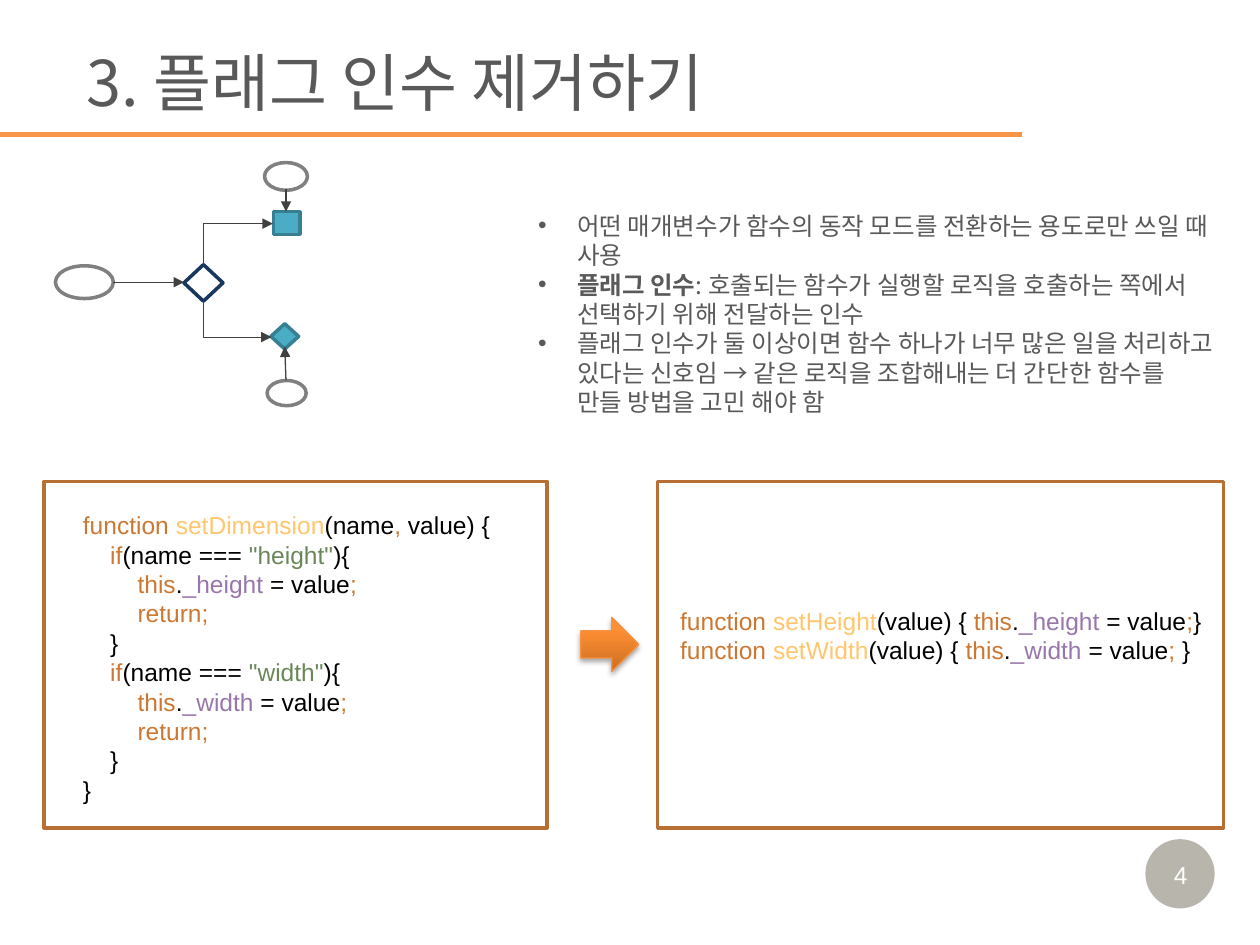
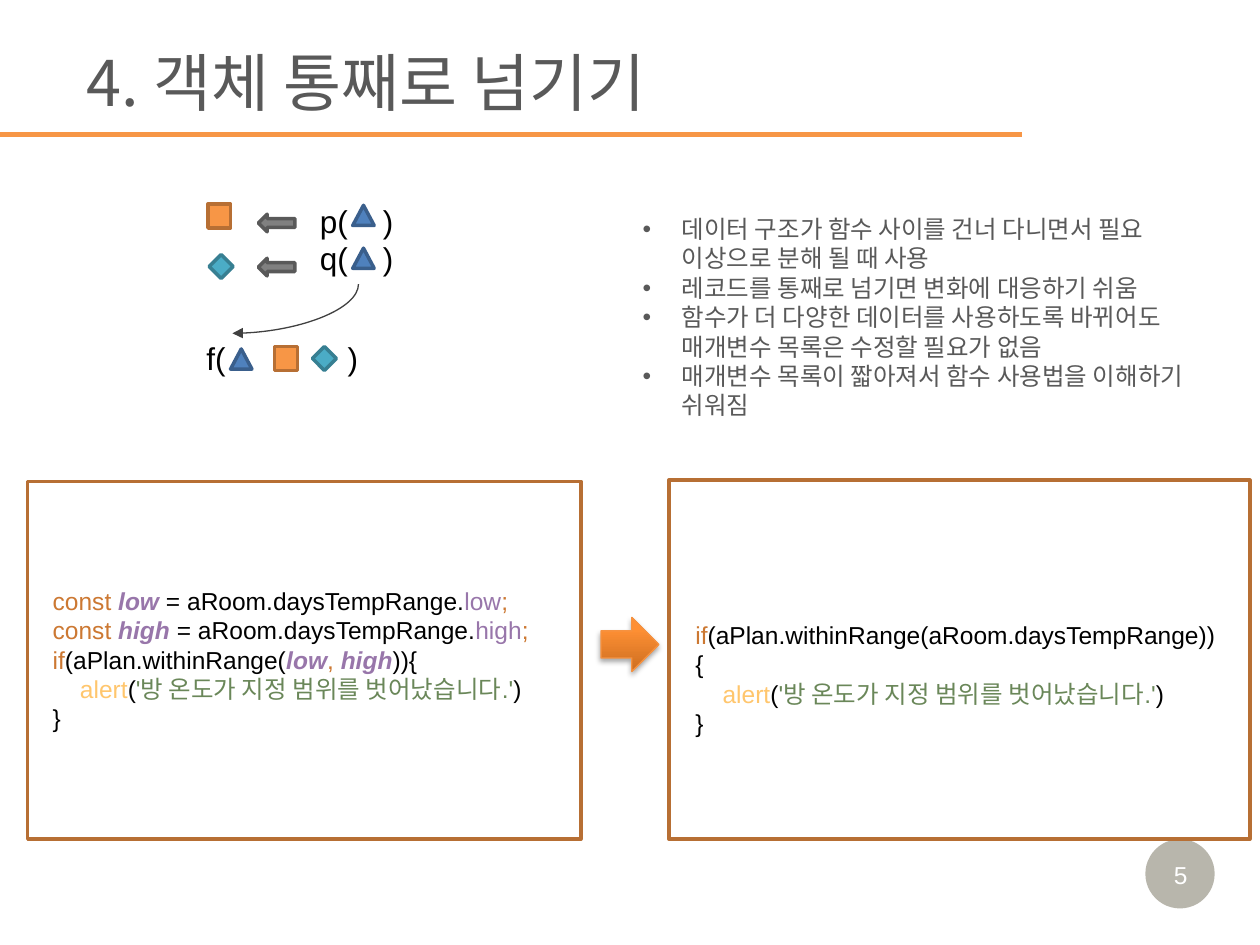
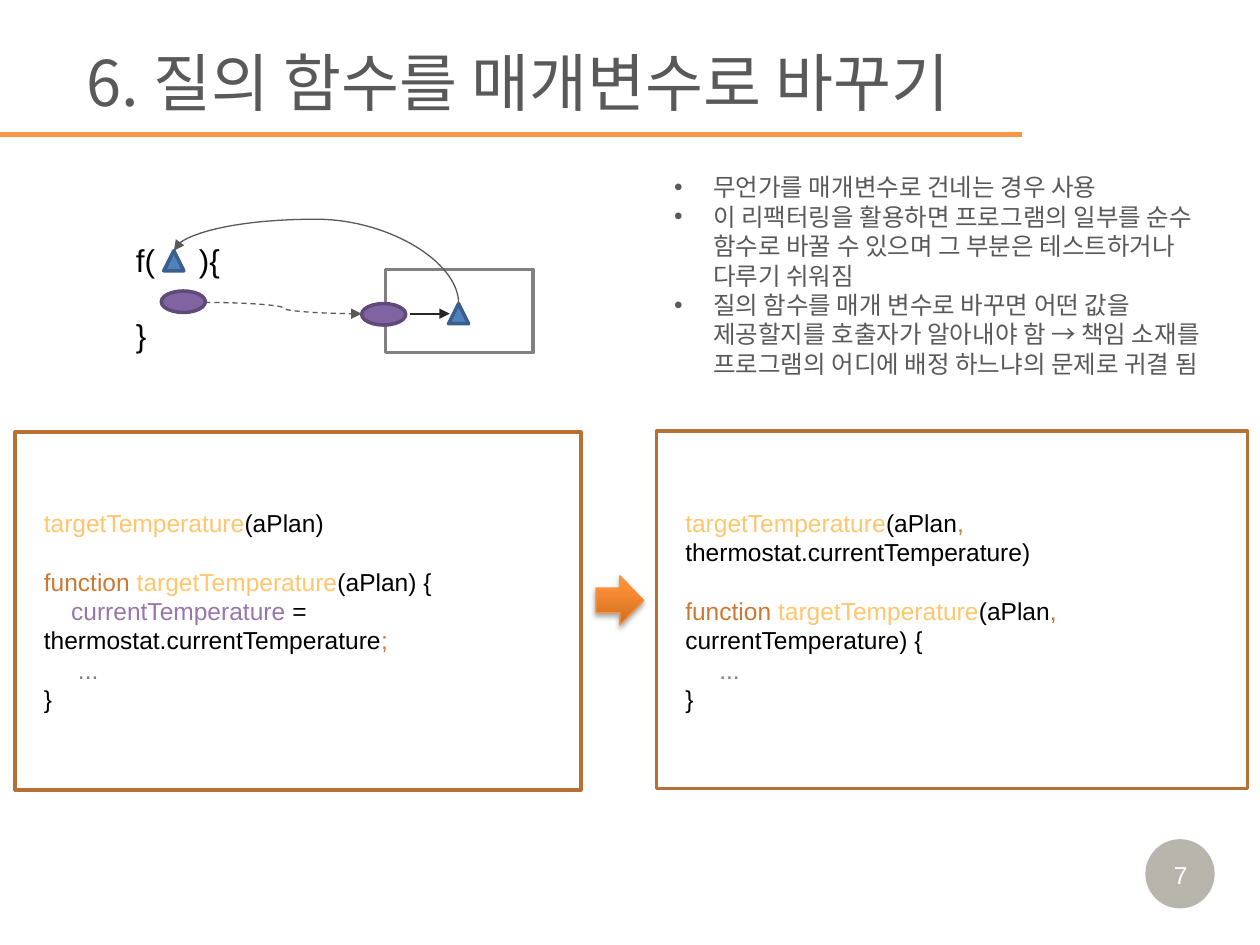
"""Build three slides on refactoring function parameters."""
from lxml import etree
from pptx import Presentation
from pptx.dml.color import RGBColor
from pptx.enum import dml, shapes, text
from pptx.oxml import ns
from pptx.util import Inches, Pt

LATIN, KOREAN = "Arial", "Noto Sans CJK KR"
GREY, ORANGE, BROWN, DARK = "595959", "F79646", "B76F34", "404040"

MARKS = {
    "d": {}, "B": {"bold": True},
    "k": {"color": "CC7832"}, "f": {"color": "FFC66D"}, "s": {"color": "6A8759"},
    "v": {"color": "9876AA"}, "g": {"color": "808080"},
    "V": {"color": "9876AA", "bold": True, "italic": True},
}

FORM = shapes.MSO_SHAPE
KINDS = {
    "panel": (FORM.RECTANGLE, None, BROWN),
    "frame": (FORM.RECTANGLE, None, "808080"),
    "ring": (FORM.OVAL, None, "808080"),
    "choice": (FORM.DIAMOND, None, "17375E"),
    "teal": (FORM.RECTANGLE, "4BACC6", "377F92"),
    "gem": (FORM.DIAMOND, "4BACC6", "377F92"),
    "square": (FORM.RECTANGLE, ORANGE, BROWN),
    "tri": (FORM.ISOSCELES_TRIANGLE, "4F81BD", "3A5F8C"),
    "oval": (FORM.OVAL, "8064A2", "5F4A78"),
    "back": (FORM.LEFT_ARROW, "808080", GREY),
}

SLIDES = [
    {
        "num": "4",
        "title": "3. 플래그 인수 제거하기",
        "body": (4.17, 1.45, 5.57, 2.08),
        "points": [
            "어떤 매개변수가 함수의 동작 모드를 전환하는 용도로만 쓰일 때 사용",
            "~B플래그 인수~d: 호출되는 함수가 실행할 로직을 호출하는 쪽에서 선택하기 위해 전달하는 인수",
            "플래그 인수가 둘 이상이면 함수 하나가 너무 많은 일을 처리하고 있다는 신호임 → "
            "같은 로직을 조합해내는 더 간단한 함수를 만들 방법을 고민 해야 함",
        ],
        "arrow": (4.61, 4.9, 0.46, 0.43),
        "parts": [
            ("panel", 0.35, 3.82, 3.99, 2.75), ("panel", 5.22, 3.82, 4.49, 2.75),
            ("ring", 0.44, 2.11, 0.46, 0.26), ("choice", 1.46, 2.1, 0.31, 0.29),
            ("teal", 2.17, 1.68, 0.21, 0.18), ("ring", 2.1, 1.29, 0.34, 0.22),
            ("gem", 2.15, 2.57, 0.22, 0.2), ("ring", 2.12, 3.02, 0.31, 0.2),
        ],
        "lines": [
            ((2.27, 1.5, 2.27, 1.68), {}),
            ((2.27, 3.02, 2.26, 2.75), {}),
            ((0.9, 2.24, 1.46, 2.24), {}),
            ((1.73, 1.66, 2.05, 2.21),
             {"form": "bentConnector2", "turn": 90, "flip": "HV", "width": 0.5}),
            ((1.74, 2.26, 2.03, 2.8),
             {"form": "bentConnector2", "turn": 270, "flip": "H", "width": 0.5}),
        ],
        "labels": [],
        "code": [
            ((0.56, 4, 3.61, 2.46), [
                "~kfunction ~fsetDimension~d(name~k, ~dvalue) {",
                '    ~kif~d(name === ~s"height"~d){',
                "        ~kthis~d.~v_height ~d= value~k;",
                "        ~kreturn;",
                "    }",
                '    ~kif~d(name === ~s"width"~d){',
                "        ~kthis~d.~v_width ~d= value~k;",
                "        ~kreturn;",
                "    }",
                "}",
            ]),
            ((5.3, 4.76, 4.42, 0.57), [
                "~kfunction ~fsetHeight~d(value) { ~kthis~d.~v_height ~d= value~k;~d}",
                "~kfunction ~fsetWidth~d(value) { ~kthis~d.~v_width ~d= value~k; ~d}",
            ]),
        ],
    },
    {
        "num": "5",
        "title": "4. 객체 통째로 넘기기",
        "body": (5, 1.47, 4.62, 2.09),
        "points": [
            "데이터 구조가 함수 사이를 건너 다니면서 필요 이상으로 분해 될 때 사용",
            "레코드를 통째로 넘기면 변화에 대응하기 쉬움",
            "함수가 더 다양한 데이터를 사용하도록 바뀌어도 매개변수 목록은 수정할 필요가 없음",
            "매개변수 목록이 짧아져서 함수 사용법을 이해하기 쉬워짐",
        ],
        "arrow": (4.77, 4.9, 0.46, 0.43),
        "parts": [
            ("panel", 0.22, 3.82, 4.39, 2.84), ("panel", 5.31, 3.81, 4.61, 2.85),
            ("tri", 2.8, 1.63, 0.17, 0.16), ("tri", 2.8, 1.97, 0.17, 0.16),
            ("back", 2.05, 1.7, 0.29, 0.14), ("back", 2.05, 2.05, 0.29, 0.14),
            ("tri", 1.83, 2.77, 0.17, 0.16), ("square", 2.18, 2.75, 0.18, 0.19),
            ("gem", 2.48, 2.75, 0.19, 0.19), ("square", 1.65, 1.62, 0.18, 0.19),
            ("gem", 1.66, 2.02, 0.19, 0.19),
        ],
        "lines": [
            ((2.15, 1.95, 2.54, 2.95), {"form": "curvedConnector2", "turn": 90}),
        ],
        "labels": [
            ((2.44, 1.55, 0.83, 0.71), ["p(\t)", "q(\t)"], 0.5),
            ((1.54, 2.64, 1.5, 0.4), ["f(\t)"], 1.12),
        ],
        "code": [
            ((0.32, 4.6, 4.23, 1.28), [
                "~kconst ~Vlow ~d= aRoom.daysTempRange.~vlow~k;",
                "~kconst ~Vhigh ~d= aRoom.daysTempRange.~vhigh~k;",
                "~kif~d(aPlan.withinRange(~Vlow~k, ~Vhigh~d)){",
                "    ~falert~d(~s'방 온도가 지정 범위를 벗어났습니다.'~d)",
                "}",
            ]),
            ((5.42, 4.87, 4.39, 0.81), [
                "~kif~d(aPlan.withinRange(aRoom.daysTempRange)){",
                "    ~falert~d(~s'방 온도가 지정 범위를 벗어났습니다.'~d)",
                "}",
            ]),
        ],
    },
    {
        "num": "7",
        "title": "6. 질의 함수를 매개변수로 바꾸기",
        "body": (5.25, 1.17, 4.61, 2.03),
        "points": [
            "무언가를 매개변수로 건네는 경우 사용",
            "이 리팩터링을 활용하면 프로그램의 일부를 순수 함수로 바꿀 수 있으며 "
            "그 부분은 테스트하거나 다루기 쉬워짐",
            "질의 함수를 매개 변수로 바꾸면 어떤 값을 제공할지를 호출자가 알아내야 함 → "
            "책임 소재를 프로그램의 어디에 배정 하느냐의 문제로 귀결 됨",
        ],
        "arrow": (4.73, 4.57, 0.38, 0.39),
        "parts": [
            ("panel", 0.12, 3.43, 4.49, 2.84), ("panel", 5.21, 3.42, 4.69, 2.84),
            ("tri", 1.3, 1.99, 0.16, 0.16), ("tri", 3.56, 2.41, 0.16, 0.16),
            ("frame", 3.06, 2.14, 1.17, 0.66), ("oval", 2.87, 2.41, 0.35, 0.17),
            ("oval", 1.28, 2.31, 0.35, 0.17),
        ],
        "lines": [
            ((2.3, 1.07, 2.72, 3.33), {"form": "curvedConnector3", "turn": 270, "flip": "V",
                                       "bend": 159600, "color": GREY}),
            ((3.25, 2.49, 3.57, 2.49), {"color": "262626", "width": 1}),
            ((1.63, 2.4, 2.87, 2.49),
             {"form": "curvedConnector3", "color": GREY, "dash": True}),
        ],
        "labels": [((0.98, 1.86, 1.5, 1.01), ["f(\t){", "", "}"], 0.5)],
        "code": [
            ((0.25, 3.98, 4.23, 1.75), [
                "~ftargetTemperature~d(aPlan)",
                "",
                "~kfunction ~ftargetTemperature~d(aPlan) {",
                "    ~vcurrentTemperature ~d= thermostat.currentTemperature~k;",
                "     ~g...",
                "}",
            ]),
            ((5.34, 3.98, 4.49, 1.75), [
                "~ftargetTemperature~d(aPlan~k, ~dthermostat.currentTemperature)",
                "",
                "~kfunction ~ftargetTemperature~d(aPlan~k, ~dcurrentTemperature) {",
                "     ~g...",
                "}",
            ]),
        ],
    },
]


def rgb(code):
    """Turn a hex string into a colour."""
    return RGBColor.from_string(code)


def sub(node, tag, **attrs):
    """Add a DrawingML child to a node."""
    child = etree.SubElement(node, ns.qn("a:" + tag))
    for key, value in attrs.items():
        child.set(key, str(value))
    return child


def place(item, left, top, width, height):
    """Move and size a shape."""
    item.left, item.top = Inches(left), Inches(top)
    item.width, item.height = Inches(width), Inches(height)


def write(frame, lines, size=14, font=LATIN, color="000000", align="LEFT",
          anchor="TOP", wrap=True, bullet=False, tab=None):
    """Fill a text frame with marked lines; an empty line opens a gap."""
    frame.word_wrap = wrap
    frame.auto_size = text.MSO_AUTO_SIZE.NONE
    frame.vertical_anchor = text.MSO_ANCHOR[anchor]
    gap, para = 0, None
    for line in lines:
        if not line:
            gap += size * 1.2
            continue
        para = frame.add_paragraph() if para else frame.paragraphs[0]
        props = para._p.get_or_add_pPr()
        if bullet:
            props.set("marL", str(Inches(0.31)))
            props.set("indent", str(-Inches(0.31)))
            sub(props, "buFont", typeface=LATIN)
            sub(props, "buChar", char="•")
        if tab:
            sub(sub(props, "tabLst"), "tab", pos=Inches(tab), algn="l")
        para.alignment = text.PP_ALIGN[align]
        para.space_before, gap = Pt(gap), 0
        for piece in ("d" + line).split("~"):
            if not piece[1:]:
                continue
            look = MARKS[piece[0]]
            run = para.add_run()
            run.text = piece[1:]
            run.font.name, run.font.size = font, Pt(size)
            run.font.color.rgb = rgb(look.get("color", color))
            run.font.bold = look.get("bold", False)
            run.font.italic = look.get("italic", False)
            sub(run.font._element, "ea", typeface=KOREAN)


def label(slide, box, lines, **look):
    """Add a text box."""
    item = slide.shapes.add_textbox(*map(Inches, box))
    write(item.text_frame, lines, **look)


def draw(slide, form, box, fill=None, line=None, width=2):
    """Add a preset shape."""
    item = slide.shapes.add_shape(form, *map(Inches, box))
    item.shadow.inherit = False
    if fill:
        item.fill.solid()
        item.fill.fore_color.rgb = rgb(fill)
    else:
        item.fill.background()
    if line:
        item.line.color.rgb = rgb(line)
        item.line.width = Pt(width)
    else:
        item.line.fill.background()
    return item


def link(slide, ends, form="line", turn=0, flip="", bend=None,
         color=DARK, width=0.75, dash=False, head=True):
    """Add a straight, bent or curved connector."""
    item = slide.shapes.add_connector(shapes.MSO_CONNECTOR.STRAIGHT, *map(Inches, ends))
    item.line.color.rgb = rgb(color)
    item.line.width = Pt(width)
    if dash:
        item.line.dash_style = dml.MSO_LINE.DASH
    props = item._element.spPr
    frame, geom = props.find(ns.qn("a:xfrm")), props.find(ns.qn("a:prstGeom"))
    geom.set("prst", form)
    if turn:
        frame.set("rot", str(turn * 60000))
    for axis in flip:
        frame.set("flip" + axis, "1")
    if bend:
        sub(geom.find(ns.qn("a:avLst")), "gd", name="adj1", fmla=f"val {bend}")
    if head:
        sub(item.line._get_or_add_ln(), "tailEnd", type="triangle")
    sub(props, "effectLst")


def step(slide, box):
    """Add the shaded arrow between the two code panels."""
    item = draw(slide, FORM.RIGHT_ARROW, box, line="F69240", width=0.75)
    item.fill.gradient()
    item.fill.gradient_angle = 90
    for stop, (spot, code) in zip(item.fill.gradient_stops, [(0, "CC6E20"), (0.8, "FF9034")]):
        stop.position, stop.color.rgb = spot, rgb(code)
    effects = item._element.spPr.find(ns.qn("a:effectLst"))
    shade = sub(effects, "outerShdw", blurRad=Pt(3.1), dist=Pt(1.8), dir=5400000, rotWithShape=0)
    sub(sub(shade, "srgbClr", val="000000"), "alpha", val=35000)


def base(slide, data):
    """Add the badge, title, rule and bullets that every slide has."""
    badge = draw(slide, FORM.OVAL, (9.09, 6.66, 0.55, 0.55), fill="4A452A")
    tint = badge._element.spPr.find(".//" + ns.qn("a:srgbClr"))
    sub(tint, "alpha", val=39000)
    label(slide, (9.15, 6.78, 0.44, 0.34), [data["num"]],
          color="FFFFFF", align="CENTER", wrap=False)
    title, body = slide.placeholders
    place(title, 0.59, 0.29, 9.41, 0.71)
    write(title.text_frame, [data["title"]], size=36, font=KOREAN, color=GREY, anchor="MIDDLE")
    place(body, *data["body"])
    write(body.text_frame, data["points"], font=KOREAN, color=GREY, anchor="MIDDLE", bullet=True)
    link(slide, (0, 1.07, 8.11, 1.07), color=ORANGE, width=3, head=False)


def main():
    """Build and save the deck."""
    deck = Presentation()
    deck.slide_width, deck.slide_height = Inches(10), Inches(7.5)
    for data in SLIDES:
        slide = deck.slides.add_slide(deck.slide_layouts[0])
        base(slide, data)
        step(slide, data["arrow"])
        for kind, *box in data["parts"]:
            form, fill, line = KINDS[kind]
            draw(slide, form, box, fill, line)
        for ends, look in data["lines"]:
            link(slide, ends, **look)
        for box, lines, tab in data["labels"]:
            label(slide, box, lines, size=18, tab=tab)
        for box, lines in data["code"]:
            label(slide, box, lines)
    deck.save("out.pptx")


if __name__ == "__main__":
    main()
